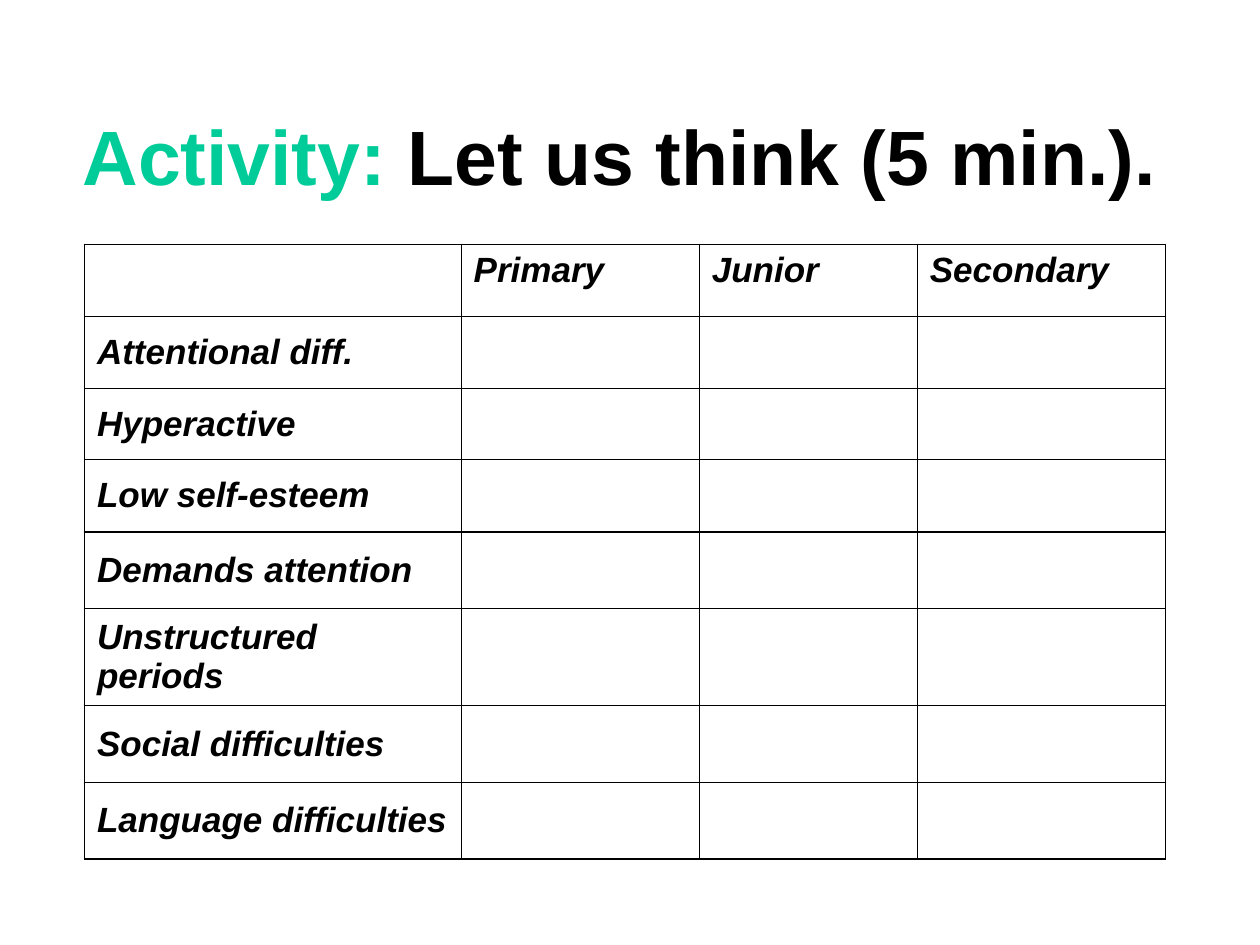
from lxml import etree
from pptx import Presentation
from pptx.dml.color import RGBColor
from pptx.enum.text import MSO_ANCHOR, MSO_AUTO_SIZE, PP_ALIGN
from pptx.oxml.ns import qn
from pptx.util import Inches, Pt

MIDDLE, TOP = MSO_ANCHOR.MIDDLE, MSO_ANCHOR.TOP
CENTER = PP_ALIGN.CENTER
NO_FIT = MSO_AUTO_SIZE.NONE
BLACK, GREEN = "000000", "00CC99"
THIN, THICK = 0.45, 1.08
COLS = [2.99, 1.89, 1.73, 1.97]


def color(code):
    return RGBColor.from_string(code)


class Deck:
    """Holds the style and the current slide."""

    face = "Arial"

    def __init__(self, slide):
        self.slide = slide

    def style(self, run, size, code, italic=False):
        font = run.font
        font.name, font.size = self.face, Pt(size)
        font.bold, font.italic = True, italic
        font.color.rgb = color(code)

    def title(self, parts, left, top, width, height):
        shape = self.slide.shapes.title
        shape.left, shape.top = Inches(left), Inches(top)
        shape.width, shape.height = Inches(width), Inches(height)
        frame = shape.text_frame
        frame.auto_size, frame.word_wrap = NO_FIT, True
        frame.vertical_anchor = MIDDLE
        para = frame.paragraphs[0]
        para.alignment = CENTER
        for text, code in parts:
            run = para.add_run()
            run.text = text
            self.style(run, 44, code)

    def border(self, cell, sides):
        props = cell._tc.get_or_add_tcPr()
        for side, width in sides.items():
            line = etree.SubElement(props, qn("a:ln" + side), w=str(Pt(width)))
            fill = etree.SubElement(line, qn("a:solidFill"))
            etree.SubElement(fill, qn("a:srgbClr"), val=BLACK)

    def table(self, rows, heights, left, top, head=False):
        count, last = len(rows), len(COLS) - 1
        frame = self.slide.shapes.add_table(
            count, len(COLS), Inches(left), Inches(top),
            Inches(sum(COLS)), Inches(sum(heights)))
        table = frame.table
        table.first_row = table.horz_banding = False
        for col, width in zip(table.columns, COLS):
            col.width = Inches(width)
        for row, height in zip(table.rows, heights):
            row.height = Inches(height)
        for r, texts in enumerate(rows):
            for c in range(len(COLS)):
                cell = table.cell(r, c)
                # Thick outer frame, thin inner grid
                edges = {"L": c == 0, "R": c == last,
                         "T": r == 0, "B": r == count - 1}
                self.border(cell, {side: THICK if outer else THIN
                                   for side, outer in edges.items()})
                cell.fill.background()
                cell.vertical_anchor = TOP if head and r == 0 else MIDDLE
                if c < len(texts) and texts[c]:
                    para = cell.text_frame.paragraphs[0]
                    para.text = texts[c]
                    self.style(para.runs[0], 20, BLACK, italic=True)


def main():
    prs = Presentation()
    prs.slide_width, prs.slide_height = Inches(10), Inches(7.5)
    deck = Deck(prs.slides.add_slide(prs.slide_layouts[5]))

    # Title
    deck.title([("Activity:", GREEN), (" Let us think (5 min.).", BLACK)],
               0.51, 0.6, 8.82, 1.25)

    # Upper table with the school levels
    deck.table([["", "Primary", "Junior", "Secondary"],
                ["Attentional diff."], ["Hyperactive"], ["Low self-esteem"]],
               [0.57] * 4, 0.67, 1.94, head=True)

    # Lower table
    deck.table([["Demands attention"], ["Unstructured periods"],
                ["Social difficulties"], ["Language difficulties"]],
               [0.61, 0.77, 0.61, 0.61], 0.67, 4.22)

    prs.save("out.pptx")


if __name__ == "__main__":
    main()
